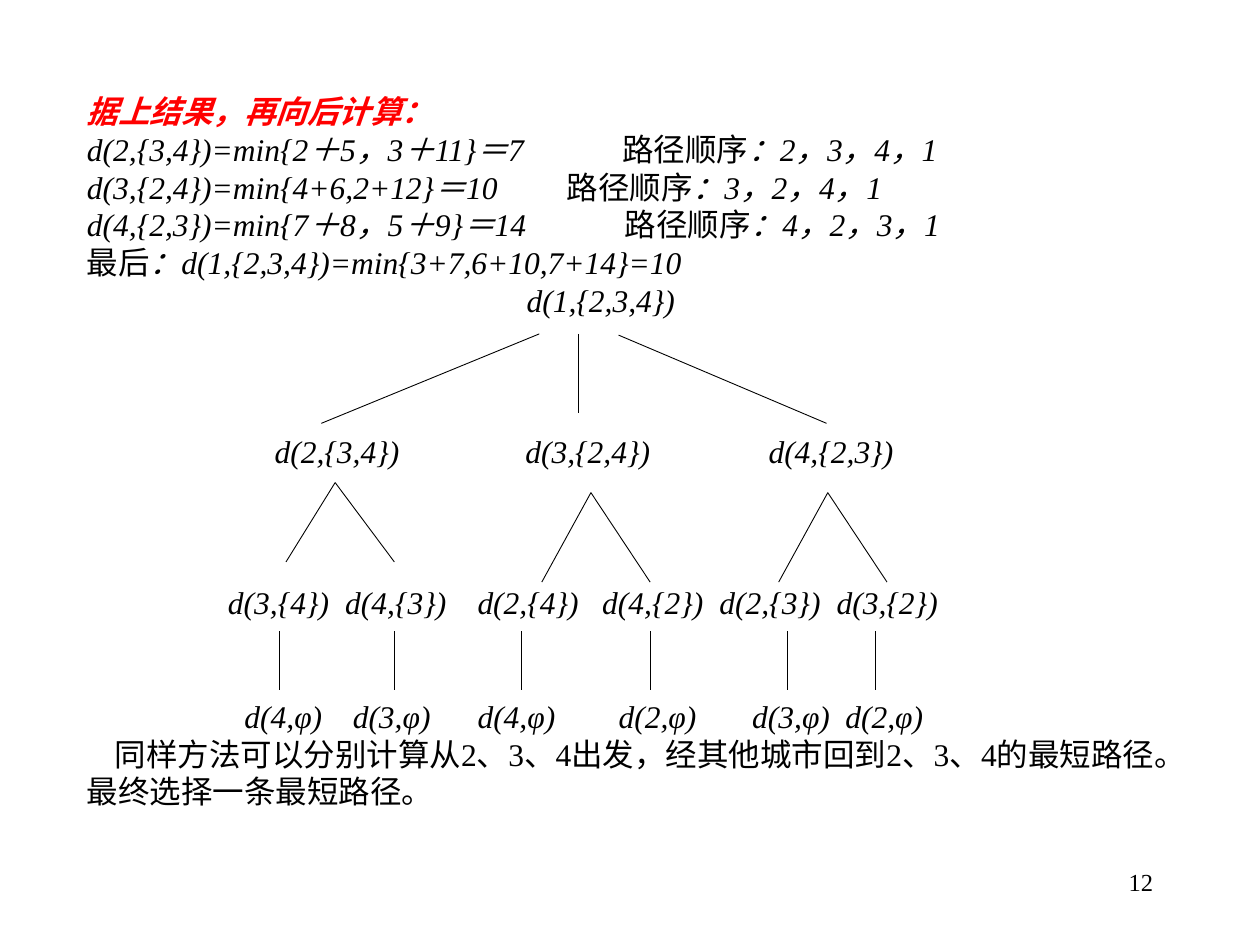
from dataclasses import dataclass

import pptx
import pptx.dml.color
import pptx.enum.shapes
import pptx.enum.text
import pptx.oxml.ns
import pptx.util
from lxml import etree

COLUMNS, ROWS = 100, 75  # grid of the slide
CELL = pptx.util.Inches(0.1)
FONT = "Times New Roman"
BLACK, RED = "000000", "FF0000"
TEXT_LEFT, TEXT_TOP, TEXT_WIDTH = 6.9, 7.3, 87
LINE_ROWS = 3  # grid rows per line of text


@dataclass(frozen=True)
class Phrase:
    text: str
    italic: bool = True
    bold: bool = False
    color: str = BLACK


@dataclass(frozen=True)
class PathOrder:
    column: float
    line: int
    cities: str


@dataclass(frozen=True)
class TreeLevel:
    line: int
    label_width: float
    labels: tuple[str, ...]
    columns: tuple[float, ...]


@dataclass(frozen=True)
class Edge:
    start_column: float
    start_row: float
    end_column: float
    end_row: float


@dataclass(frozen=True)
class Fork:
    column: float
    top: float
    bottom: float


ORDER_LABEL = Phrase("路径顺序", italic=False)
EQUATIONS = [
    [Phrase("据上结果，再向后计算：", bold=True, color=RED)],
    [Phrase("d(2,{3,4})=min{2＋5，3＋11}＝7")],
    [Phrase("d(3,{2,4})=min{4+6,2+12}＝10")],
    [Phrase("d(4,{2,3})=min{7＋8，5＋9}＝14")],
    [Phrase("最后", italic=False), Phrase("：d(1,{2,3,4})=min{3+7,6+10,7+14}=10")],
]
PATH_ORDERS = [
    PathOrder(49.4, 1, "：2，3，4，1"),
    PathOrder(45, 2, "：3，2，4，1"),
    PathOrder(49.6, 3, "：4，2，3，1"),
]
TREE = [
    TreeLevel(5, 12.6, ("d(1,{2,3,4})",), (41.8,)),
    TreeLevel(9, 10.6, ("d(2,{3,4})", "d(3,{2,4})", "d(4,{2,3})"), (21.8, 41.7, 61)),
    TreeLevel(13, 8.6, ("d(3,{4})", "d(4,{3})", "d(2,{4})", "d(4,{2})", "d(2,{3})", "d(3,{2})"),
              (18.1, 27.4, 37.9, 47.8, 57.1, 66.4)),
    TreeLevel(16, 6.8, ("d(4,φ)", "d(3,φ)", "d(4,φ)", "d(2,φ)", "d(3,φ)", "d(2,φ)"),
              (19.4, 28, 37.9, 49.1, 59.7, 67.1)),
]
CONCLUSION_LINE = 17
CONCLUSION = Phrase(
    "同样方法可以分别计算从2、3、4出发，经其他城市回到2、3、4的最短路径。最终选择一条最短路径。",
    italic=False)

ROOT_EDGES = [
    Edge(42.8, 26.5, 25.5, 33.6),
    Edge(49.1, 26.6, 65.6, 33.6),
    Edge(45.9, 26.5, 45.9, 32.8),
]
FORKS = [Fork(26.6, 38.3, 44.6), Fork(46.9, 39.1, 46.2), Fork(65.7, 39.1, 46.2)]
FORK_FEET = (-3.9, 4.7)  # columns from the fork's top
STEM_COLUMNS = (22.2, 31.3, 41.4, 51.6, 62.5, 69.5)


def cells(count: float) -> pptx.util.Emu:
    return pptx.util.Emu(round(count * CELL))


def rgb(color: str) -> pptx.dml.color.RGBColor:
    return pptx.dml.color.RGBColor.from_string(color)


def write_paragraph(paragraph, phrases: list[Phrase], first_indent: float = 0) -> None:
    properties = paragraph._p.get_or_add_pPr()
    properties.set("marL", "0")
    properties.set("indent", str(cells(first_indent)))
    etree.SubElement(properties, pptx.oxml.ns.qn("a:buNone"))
    paragraph.line_spacing = pptx.util.Emu(cells(LINE_ROWS))
    paragraph.space_before = pptx.util.Pt(0)
    paragraph.font.name = FONT
    paragraph.font.size = pptx.util.Pt(18)
    for phrase in phrases:
        run = paragraph.add_run()
        run.text = phrase.text
        run.font.italic = phrase.italic
        run.font.bold = phrase.bold
        run.font.color.rgb = rgb(phrase.color)


def fit_frame(shape):
    """Make the text start exactly at the shape's corner."""
    frame = shape.text_frame
    frame.word_wrap = True
    frame.auto_size = pptx.enum.text.MSO_AUTO_SIZE.NONE
    frame.margin_left = frame.margin_right = frame.margin_top = frame.margin_bottom = 0
    return frame


def write_equations(body) -> None:
    body.left, body.top = cells(TEXT_LEFT), cells(TEXT_TOP)
    body.width, body.height = cells(TEXT_WIDTH), cells(len(EQUATIONS) * LINE_ROWS)
    frame = fit_frame(body)
    for index, phrases in enumerate(EQUATIONS):
        write_paragraph(frame.add_paragraph() if index else frame.paragraphs[0], phrases)


def write_box(slide, phrases: list[Phrase], column: float, line: int, width: float,
              line_count: int = 1, first_indent: float = 0) -> None:
    box = slide.shapes.add_textbox(cells(column), cells(TEXT_TOP + line * LINE_ROWS),
                                   cells(width), cells(line_count * LINE_ROWS))
    write_paragraph(fit_frame(box).paragraphs[0], phrases, first_indent)


def draw_edge(slide, edge: Edge) -> None:
    connector = slide.shapes.add_connector(
        pptx.enum.shapes.MSO_CONNECTOR.STRAIGHT,
        cells(edge.start_column), cells(edge.start_row),
        cells(edge.end_column), cells(edge.end_row))
    connector.line.color.rgb = rgb(BLACK)
    connector.line.width = pptx.util.Pt(0.5)
    etree.SubElement(connector._element.spPr, pptx.oxml.ns.qn("a:effectLst"))


def write_page_number(slide, number: str) -> None:
    box = slide.shapes.add_textbox(cells(71.7), cells(68.3), cells(20.8), cells(5))
    box.text_frame.word_wrap = True
    paragraph = box.text_frame.paragraphs[0]
    paragraph.text = number
    paragraph.alignment = pptx.enum.text.PP_ALIGN.RIGHT
    paragraph.font.name = FONT
    paragraph.font.size = pptx.util.Pt(14)
    paragraph.font.color.rgb = rgb(BLACK)


def main() -> None:
    presentation = pptx.Presentation()
    presentation.slide_width = cells(COLUMNS)
    presentation.slide_height = cells(ROWS)
    slide = presentation.slides.add_slide(presentation.slide_layouts[1])
    title = slide.shapes.title
    title._element.getparent().remove(title._element)

    write_page_number(slide, "12")
    write_equations(slide.placeholders[1])
    for order in PATH_ORDERS:
        write_box(slide, [ORDER_LABEL, Phrase(order.cities)], order.column, order.line, 32)
    for level in TREE:
        for label, column in zip(level.labels, level.columns):
            write_box(slide, [Phrase(label)], column, level.line, level.label_width)
    write_box(slide, [CONCLUSION], TEXT_LEFT, CONCLUSION_LINE, TEXT_WIDTH,
              line_count=2, first_indent=2.2)

    fork_edges = [Edge(fork.column, fork.top, fork.column + foot, fork.bottom)
                  for fork in FORKS for foot in FORK_FEET]
    stems = [Edge(column, 50.1, column, 54.8) for column in STEM_COLUMNS]
    for edge in ROOT_EDGES + fork_edges + stems:
        draw_edge(slide, edge)
    presentation.save("out.pptx")


if __name__ == "__main__":
    main()
